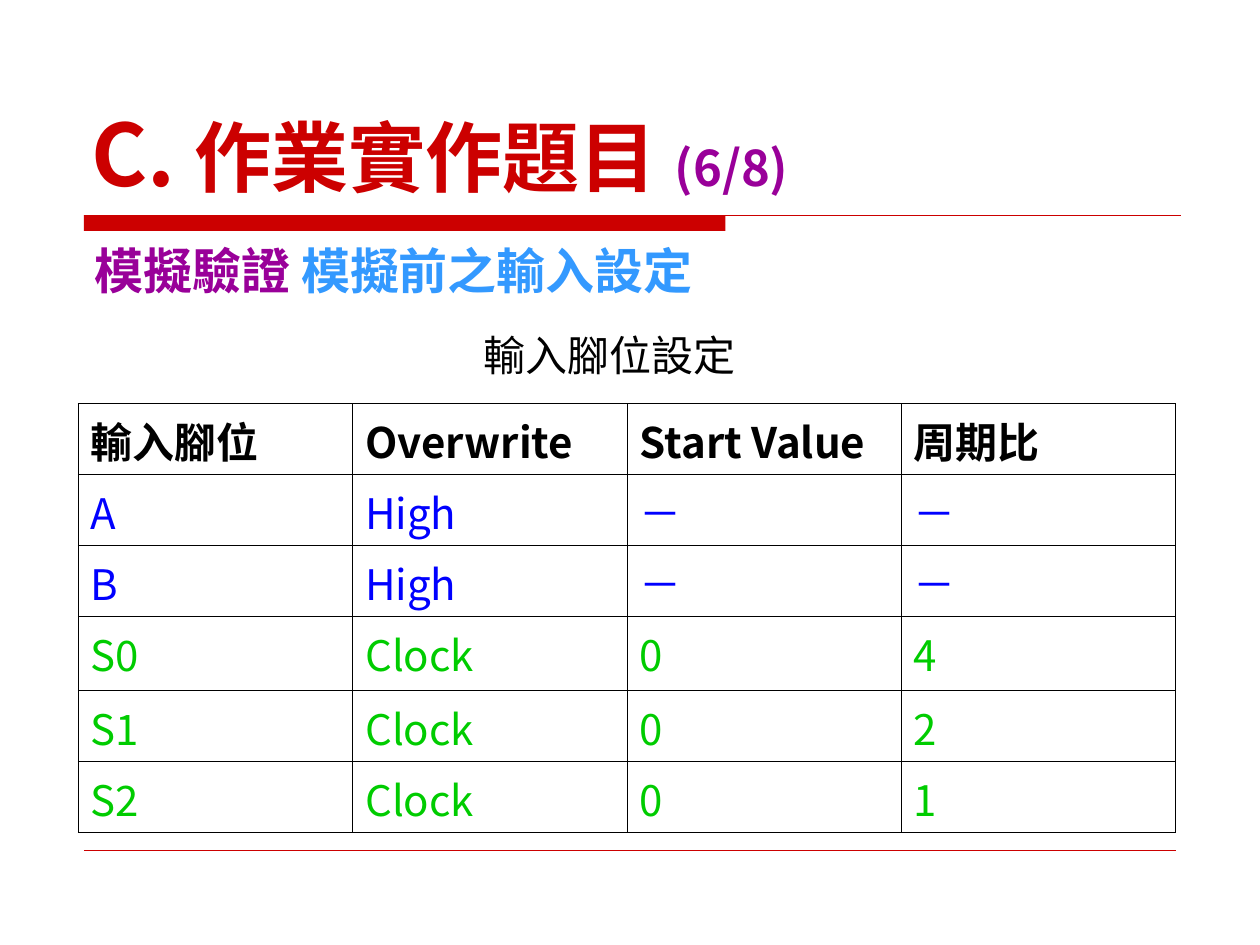
import lxml.etree
import pptx
import pptx.dml.color
import pptx.enum.shapes
import pptx.enum.text
import pptx.oxml.ns
import pptx.util

Pt = pptx.util.Pt
qn = pptx.oxml.ns.qn
CJK = "Noto Sans CJK JP"
RED, PURPLE, SKY, BLUE, GREEN, BLACK = (
    "CC0000", "990099", "3399FF", "0000FF", "00CC00", "000000")


def rgb(value):
    return pptx.dml.color.RGBColor.from_string(value)


def style(run, size, color, bold=False, font=CJK):
    """Format a run, with the CJK font for its East Asian characters."""
    run.font.size = Pt(size)
    run.font.bold = bold
    run.font.color.rgb = rgb(color)
    run.font.name = font
    lxml.etree.SubElement(run.font._element, qn("a:ea"), typeface=CJK)


deck = pptx.Presentation()
deck.slide_width, deck.slide_height = Pt(720), Pt(540)
slide = deck.slides.add_slide(deck.slide_layouts[5])
shapes = slide.shapes

# Red bar and rules
bar = shapes.add_shape(pptx.enum.shapes.MSO_SHAPE.RECTANGLE,
                       Pt(48), Pt(123), Pt(366.5), Pt(9))
bar.shadow.inherit = False
bar.fill.solid()
bar.fill.fore_color.rgb = rgb(RED)
bar.line.fill.background()

for y, right, weight in [(123, 675, 0.75), (486, 672, 0.25)]:
    rule = shapes.add_connector(pptx.enum.shapes.MSO_CONNECTOR.STRAIGHT,
                                Pt(48), Pt(y), Pt(right), Pt(y))
    rule.line.color.rgb = rgb(RED)
    rule.line.width = Pt(weight)
    lxml.etree.SubElement(rule._element.spPr, qn("a:effectLst"))

# Title
title = shapes.title
title.left, title.top, title.width, title.height = Pt(45), Pt(24), Pt(630), Pt(96)
title.text_frame.auto_size = pptx.enum.text.MSO_AUTO_SIZE.NONE
title.text_frame.vertical_anchor = pptx.enum.text.MSO_ANCHOR.BOTTOM
heading = title.text_frame.paragraphs[0]
heading.alignment = pptx.enum.text.PP_ALIGN.LEFT
for text, size, color, font in [("C. ", 49, RED, CJK),
                                ("作業實作題目 ", 44, RED, "DejaVu Sans"),
                                ("(6/8)", 28, PURPLE, CJK)]:
    run = heading.add_run()
    run.text = text
    style(run, size, color, True, font)

# Table caption
caption = shapes.add_textbox(Pt(269.3), Pt(185), Pt(164.2), Pt(36))
caption.text_frame.word_wrap = False
caption.text_frame.vertical_anchor = pptx.enum.text.MSO_ANCHOR.MIDDLE
caption.text_frame.text = "輸入腳位設定"
style(caption.text_frame.paragraphs[0].runs[0], 24, BLACK, font="Times New Roman")

# Input pin table
pins = [
    (BLACK, ["輸入腳位", "Overwrite", "Start Value", "周期比"]),
    (BLUE, ["A", "High", "－", "－"]),
    (BLUE, ["B", "High", "－", "－"]),
    (GREEN, ["S0", "Clock", "0", "4"]),
    (GREEN, ["S1", "Clock", "0", "2"]),
    (GREEN, ["S2", "Clock", "0", "1"]),
]
row_heights = [40.6, 40.6, 40.6, 42.2, 40.8, 40.6]
pin_table = shapes.add_table(len(pins), 4, Pt(44.7), Pt(230.5),
                             Pt(627.2), Pt(sum(row_heights))).table
pin_table.first_row = False
pin_table.horz_banding = False
for column in pin_table.columns:
    column.width = Pt(156.8)

for r, (color, texts) in enumerate(pins):
    pin_table.rows[r].height = Pt(row_heights[r])
    for c, text in enumerate(texts):
        cell = pin_table.cell(r, c)
        cell.margin_left = cell.margin_right = Pt(7.2)
        cell.margin_top, cell.margin_bottom = Pt(3.6), Pt(2)
        cell.text = text
        style(cell.text_frame.paragraphs[0].runs[0], 24, color, bold=r == 0)
        properties = cell._tc.get_or_add_tcPr()
        for side in ("a:lnL", "a:lnR", "a:lnT", "a:lnB"):
            border = lxml.etree.SubElement(properties, qn(side), w=str(Pt(0.45)))
            paint = lxml.etree.SubElement(border, qn("a:solidFill"))
            lxml.etree.SubElement(paint, qn("a:srgbClr"), val=BLACK)
        cell.fill.background()

# Subtitle
subtitle = shapes.add_textbox(Pt(46.8), Pt(134), Pt(356.4), Pt(41))
subtitle.text_frame.word_wrap = False
for text, color in [("模擬驗證 ", PURPLE), ("模擬前之輸入設定", SKY)]:
    run = subtitle.text_frame.paragraphs[0].add_run()
    run.text = text
    style(run, 28, color, True)

deck.save("out.pptx")
